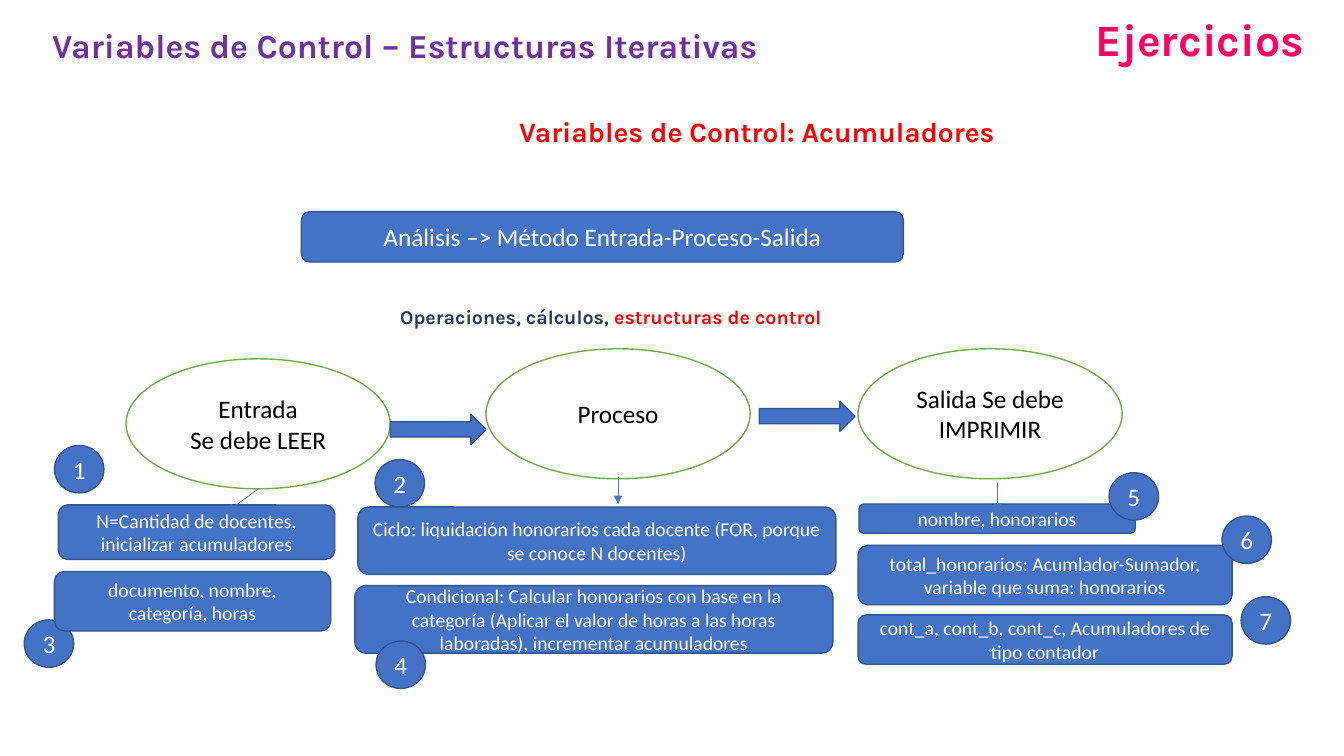
from lxml import etree
from pptx import Presentation
from pptx.dml.color import RGBColor
from pptx.enum import shapes, text
from pptx.oxml import ns
from pptx.util import Inches, Pt

COLORS = {
    "blue": "4472C4", "outline": "325491", "green": "70AD47",
    "white": "FFFFFF", "black": "000000", "navy": "203864",
    "red": "FF0000", "pink": "FF0062", "purple": "7030A0",
}
PRESET = shapes.MSO_SHAPE
ALIGN = text.PP_ALIGN

STAGE_SIZE = (2.62, 1.29)
ARROW_SIZE = (0.95, 0.3)
BADGE_SIZE = (0.49, 0.47)

STAGES = [
    (1.25, 3.56, "Entrada\nSe debe LEER"),
    (4.82, 3.46, "Proceso"),
    (8.51, 3.46, "Salida Se debe IMPRIMIR"),
]
STAGE_ARROWS = [(3.87, 4.11), (7.53, 3.98)]
FIRST_STEPS = [
    (0.58, 5.01, 2.74, 0.54, "N=Cantidad de docentes, inicializar acumuladores"),
    (3.55, 5.03, 4.74, 0.67,
     "Ciclo: liquidación honorarios cada docente (FOR, porque se conoce N docentes)"),
    (8.52, 5.0, 2.74, 0.29, "nombre, honorarios"),
]
STEP_LINKS = [
    (2.56, 4.85, 2.25, 5.08),
    (6.13, 4.73, 6.13, 5.0),
    (9.89, 4.79, 9.89, 5.08),
]
LATER_STEPS = [
    (0.54, 5.67, 2.74, 0.59, "documento, nombre, categoría, horas"),
    (8.51, 5.41, 3.71, 0.59,
     "total_honorarios: Acumlador-Sumador, variable que suma: honorarios"),
    (8.51, 6.1, 3.71, 0.49, "cont_a, cont_b, cont_c, Acumuladores de tipo contador"),
    (3.52, 5.81, 4.74, 0.67,
     "Condicional: Calcular honorarios con base en la categoría (Aplicar el valor "
     "de horas a las horas laboradas), incrementar acumuladores"),
]
BACK_BADGES = [(0.54, 4.42, "1"), (3.72, 4.56, "2"), (0.24, 6.15, "3")]
FRONT_BADGES = [(3.73, 6.36, "4"), (11.0, 4.69, "5"), (12.12, 5.12, "6"), (12.31, 5.92, "7")]


def rgb(name):
    return RGBColor.from_string(COLORS[name])


def style_font(font, family, size, color, bold=False):
    font.name = family
    font.size = Pt(size)
    font.bold = bold
    font.color.rgb = rgb(color)


def add_block(slide, preset, left, top, width, height, label="", size=18,
              fill="blue", line="outline", color="white"):
    block = slide.shapes.add_shape(
        preset, Inches(left), Inches(top), Inches(width), Inches(height))
    block.shadow.inherit = False
    block.fill.solid()
    block.fill.fore_color.rgb = rgb(fill)
    block.line.color.rgb = rgb(line)
    block.line.width = Pt(1)
    frame = block.text_frame
    frame.word_wrap = True
    frame.vertical_anchor = text.MSO_ANCHOR.MIDDLE
    frame.text = label
    for paragraph in frame.paragraphs:
        paragraph.alignment = ALIGN.CENTER
        for run in paragraph.runs:
            style_font(run.font, "Calibri", size, color)


def add_steps(slide, steps):
    for left, top, width, height, label in steps:
        add_block(slide, PRESET.ROUNDED_RECTANGLE, left, top, width, height, label, size=14)


def add_badges(slide, badges):
    for left, top, number in badges:
        add_block(slide, PRESET.OVAL, left, top, *BADGE_SIZE, number)


def add_link(slide, x1, y1, x2, y2):
    link = slide.shapes.add_connector(
        shapes.MSO_CONNECTOR.STRAIGHT, Inches(x1), Inches(y1), Inches(x2), Inches(y2))
    link.line.color.rgb = rgb("blue")
    link.line.width = Pt(0.5)
    etree.SubElement(link.line._get_or_add_ln(), ns.qn("a:tailEnd"), type="triangle")
    etree.SubElement(link._element.spPr, ns.qn("a:effectLst"))


def add_heading(slide, left, top, width, height, size, parts, alignment=ALIGN.LEFT):
    heading = slide.shapes.add_textbox(
        Inches(left), Inches(top), Inches(width), Inches(height))
    heading.text_frame.word_wrap = True
    paragraph = heading.text_frame.paragraphs[0]
    paragraph.alignment = alignment
    for words, color in parts:
        run = paragraph.add_run()
        run.text = words
        style_font(run.font, "Karla", size, color, bold=True)


def main():
    deck = Presentation()
    deck.slide_width, deck.slide_height = Inches(13.33), Inches(7.5)
    slide = deck.slides.add_slide(deck.slide_layouts[6])

    # Input, process and output stages
    for left, top, label in STAGES:
        add_block(slide, PRESET.OVAL, left, top, *STAGE_SIZE, label,
                  fill="white", line="green", color="black")
    add_block(slide, PRESET.ROUNDED_RECTANGLE, 2.99, 2.1, 5.97, 0.5,
              "Análisis –> Método Entrada-Proceso-Salida")
    for left, top in STAGE_ARROWS:
        add_block(slide, PRESET.RIGHT_ARROW, left, top, *ARROW_SIZE)

    # Steps under each stage; badge 3 sits behind its box
    add_steps(slide, FIRST_STEPS)
    for ends in STEP_LINKS:
        add_link(slide, *ends)
    add_badges(slide, BACK_BADGES)
    add_steps(slide, LATER_STEPS)
    add_badges(slide, FRONT_BADGES)

    # Headings
    add_heading(slide, 0.42, 0.2, 7.4, 0.5, 24,
                [("Variables de Control – Estructuras Iterativas", "purple")])
    add_heading(slide, 10.77, 0.07, 3.14, 0.64, 32, [("Ejercicios", "pink")])
    add_heading(slide, 5.05, 1.09, 6.86, 0.44, 20,
                [("Variables de Control: Acumuladores", "red")], ALIGN.JUSTIFY)
    add_heading(slide, 3.87, 2.98, 8.99, 0.34, 14,
                [("Operaciones, cálculos, ", "navy"), ("estructuras de control", "red")],
                ALIGN.JUSTIFY)

    deck.save("out.pptx")


if __name__ == "__main__":
    main()
